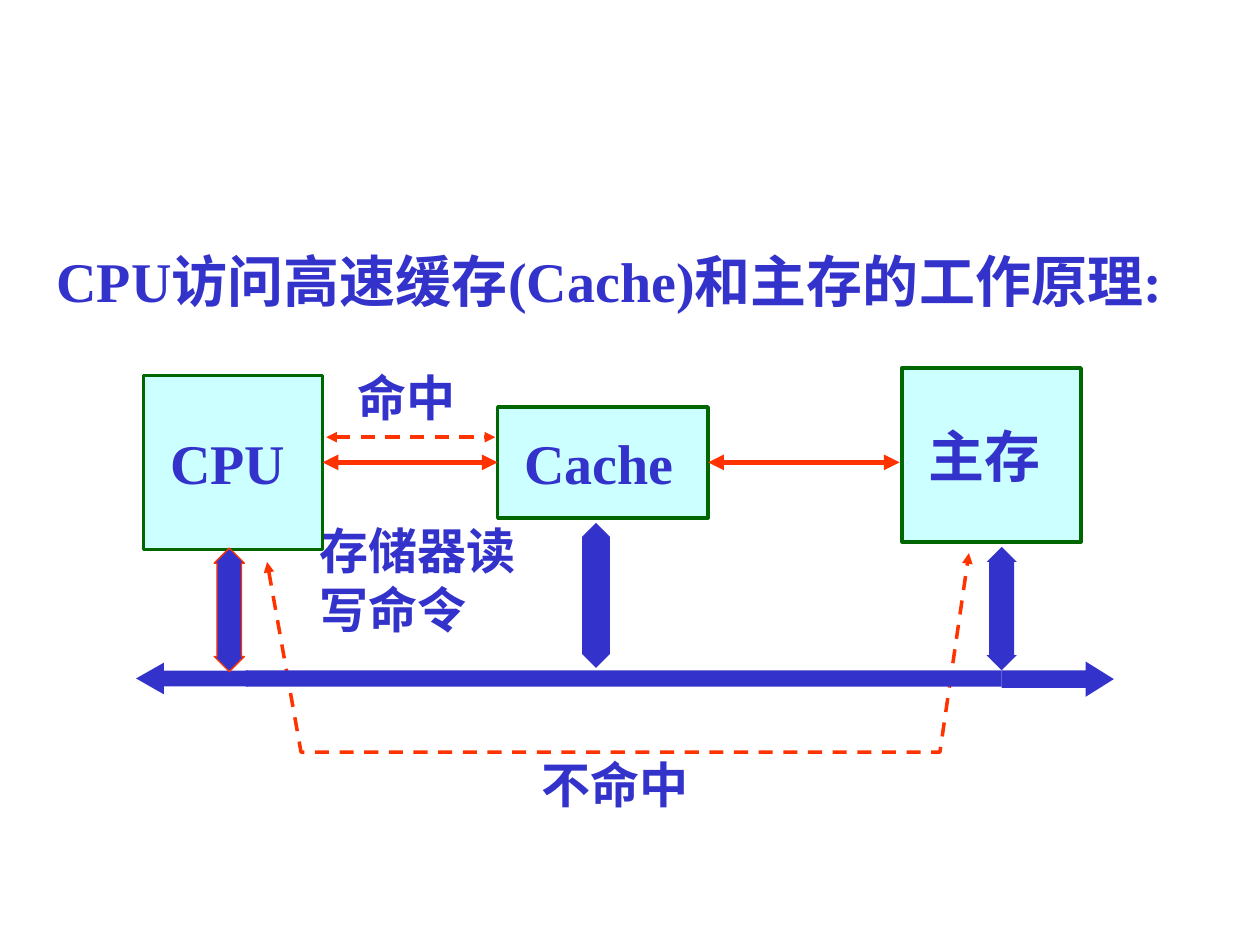
from lxml.etree import SubElement
from pptx import Presentation
from pptx.dml.color import RGBColor
from pptx.enum.dml import MSO_LINE
from pptx.enum.shapes import MSO_CONNECTOR, MSO_SHAPE
from pptx.enum.text import MSO_ANCHOR, PP_ALIGN
from pptx.oxml.ns import qn
from pptx.util import Inches, Pt

FONT = "Times New Roman"
BLUE = "3333CC"
RED = "FF3300"
GREEN = "006600"
CYAN = "CCFFFF"


def color(value):
    """Return the colour for a hex string."""
    return RGBColor.from_string(value)


def write_text(shape, text, size=28, anchor=MSO_ANCHOR.TOP, left_margin=0.1, wrap=True):
    """Write bold blue text into a shape."""
    frame = shape.text_frame
    frame.word_wrap = wrap
    frame.vertical_anchor = anchor
    frame.margin_left = Inches(left_margin)
    paragraph = frame.paragraphs[0]
    paragraph.alignment = PP_ALIGN.LEFT
    run = paragraph.add_run()
    run.text = text
    run.font.name = FONT
    run.font.size = Pt(size)
    run.font.bold = True
    run.font.color.rgb = color(BLUE)


def add_label(slide, text, left, top, width, height, **text_format):
    """Add a text box."""
    box = slide.shapes.add_textbox(Inches(left), Inches(top), Inches(width), Inches(height))
    write_text(box, text, **text_format)


def add_block(slide, kind, left, top, width, height, fill=BLUE, line=None, line_width=2):
    """Add a filled preset shape with an optional outline."""
    shape = slide.shapes.add_shape(
        kind, Inches(left), Inches(top), Inches(width), Inches(height))
    shape.shadow.inherit = False
    shape.fill.solid()
    shape.fill.fore_color.rgb = color(fill)
    if line:
        shape.line.color.rgb = color(line)
        shape.line.width = Pt(line_width)
    else:
        shape.line.fill.background()
    return shape


def add_unit(slide, text, left, top, width, height):
    """Add a labelled hardware unit."""
    unit = add_block(slide, MSO_SHAPE.RECTANGLE, left, top, width, height, CYAN, GREEN)
    write_text(unit, text, size=32, anchor=MSO_ANCHOR.MIDDLE, left_margin=0.21)
    return unit


def add_arrow(slide, kind, left, top, width, height, head, **style):
    """Add a block arrow whose head length is a share of its short side."""
    arrow = add_block(slide, kind, left, top, width, height, **style)
    arrow.adjustments[0] = 0.5
    arrow.adjustments[1] = head
    return arrow


def style_line(shape, width, dashed=False):
    """Make a line red with a triangle at both ends."""
    shape.line.color.rgb = color(RED)
    shape.line.width = Pt(width)
    if dashed:
        shape.line.dash_style = MSO_LINE.DASH
    outline = shape.line._get_or_add_ln()
    for end in ("a:headEnd", "a:tailEnd"):
        SubElement(outline, qn(end), type="triangle")


def add_link(slide, start, end, width, dashed=False):
    """Add a straight two-headed connector."""
    link = slide.shapes.add_connector(
        MSO_CONNECTOR.STRAIGHT, *(Inches(value) for value in start + end))
    style_line(link, width, dashed)
    SubElement(link._element.spPr, qn("a:effectLst"))
    return link


def add_dashed_route(slide, points):
    """Add an open dashed route through the points."""
    start, *rest = [(Inches(x), Inches(y)) for x, y in points]
    builder = slide.shapes.build_freeform(*start)
    builder.add_line_segments(rest, close=False)
    route = builder.convert_to_shape()
    route.shadow.inherit = False
    route.fill.background()
    style_line(route, 2, dashed=True)


def add_bus(slide):
    """Add the bus and the arrows that join the units to it."""
    add_arrow(slide, MSO_SHAPE.RIGHT_ARROW, 7.95, 5.25, 0.89, 0.28, 0.8)
    add_arrow(slide, MSO_SHAPE.LEFT_ARROW, 1.08, 5.26, 0.89, 0.25, 0.88)
    add_block(slide, MSO_SHAPE.RECTANGLE, 1.95, 5.32, 6, 0.13)
    add_arrow(slide, MSO_SHAPE.UP_DOWN_ARROW, 1.7, 4.35, 0.24, 0.98, 0.81,
              line=RED, line_width=0.75)
    add_arrow(slide, MSO_SHAPE.UP_DOWN_ARROW, 4.62, 4.15, 0.22, 1.15, 1.03)
    add_arrow(slide, MSO_SHAPE.UP_DOWN_ARROW, 7.83, 4.34, 0.24, 0.98, 0.82)


def main():
    """Build the slide and save it."""
    presentation = Presentation()
    presentation.slide_width = Inches(10)
    presentation.slide_height = Inches(7.5)
    slide = presentation.slides.add_slide(presentation.slide_layouts[6])

    add_label(slide, "CPU访问高速缓存(Cache)和主存的工作原理:", 0.35, 1.91, 9.43, 0.64,
              size=32, wrap=False)
    add_label(slide, "存储器读写命令", 2.44, 4.08, 1.8, 1.04)
    add_label(slide, "命中", 2.74, 2.87, 1.23, 0.57)
    add_label(slide, "不命中", 4.2, 5.94, 1.83, 0.57)
    add_dashed_route(slide, [(2.12, 4.46), (2.39, 5.97), (7.46, 5.97), (7.69, 4.39)])

    cpu = add_unit(slide, "CPU", 1.14, 2.98, 1.42, 1.38)
    add_unit(slide, "主存", 7.16, 2.92, 1.42, 1.38)
    cache = add_unit(slide, "Cache", 3.95, 3.23, 1.67, 0.88)
    add_bus(slide)

    cpu_link = add_link(slide, (2.56, 3.67), (3.95, 3.67), 3)
    cpu_link.begin_connect(cpu, 3)
    cpu_link.end_connect(cache, 1)
    memory_link = add_link(slide, (5.62, 3.67), (7.14, 3.67), 3)
    memory_link.begin_connect(cache, 3)
    add_link(slide, (2.59, 3.47), (3.93, 3.47), 2, dashed=True)

    presentation.save("out.pptx")


if __name__ == "__main__":
    main()
